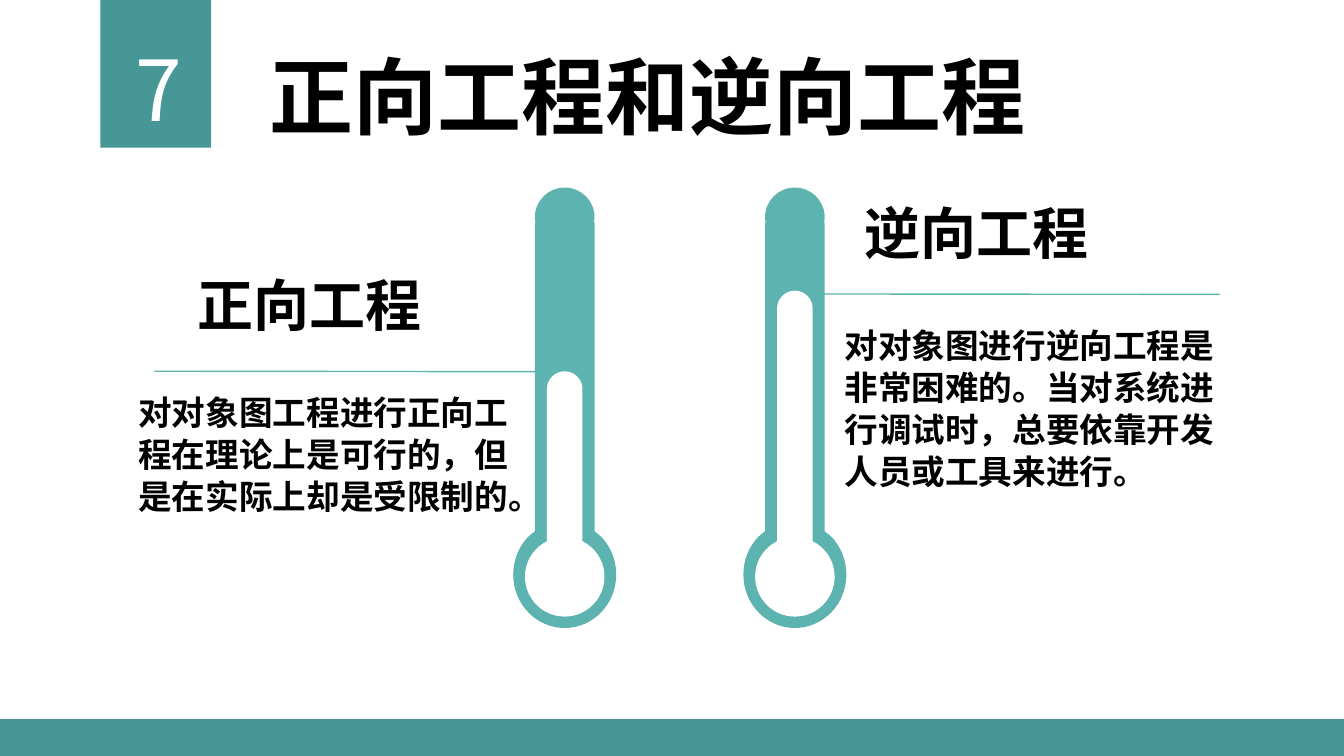
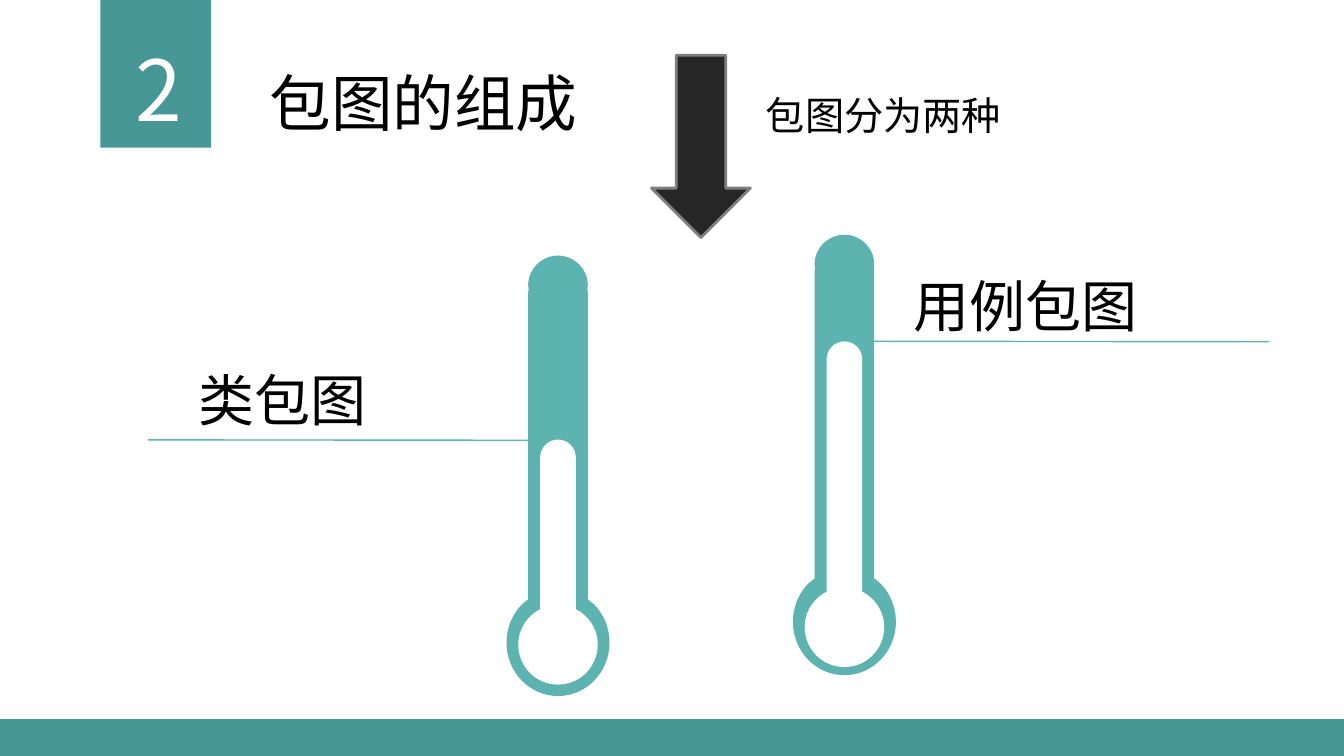
from dataclasses import dataclass

from lxml.etree import SubElement
from pptx import Presentation
from pptx.dml.color import RGBColor
from pptx.enum.shapes import MSO_CONNECTOR, MSO_SHAPE
from pptx.enum.text import MSO_AUTO_SIZE, PP_ALIGN
from pptx.oxml.ns import qn
from pptx.shapes.autoshape import Shape
from pptx.shapes.shapetree import GroupShapes, SlideShapes
from pptx.slide import Slide
from pptx.util import Pt

DARK_TEAL, TEAL, WHITE, BLACK = "479796", "5DB3B0", "FFFFFF", "000000"
ARROW_FILL, ARROW_LINE = "262626", "7F7F7F"
SC, KR, ARIAL = "Noto Sans CJK SC", "Noto Sans CJK KR", "Arial"

Point = tuple[float, float]
Segment = list[Point]

GLASS: list[Segment] = [
    [(11.8, 0), (21.3, 9.5), (21.3, 21.2)],
    [(20.9, 25.3)],
    [(21.3, 25.3)],
    [(21.3, 245.5)],
    [(25.9, 249.3)],
    [(32.5, 256), (36.8, 265.8), (36.8, 276.5)],
    [(36.8, 297.5), (20.3, 314.6), (0, 314.6)],
]


@dataclass
class Label:
    text: str
    left: float
    top: float
    width: float
    height: float
    size: float
    font: str = SC
    bold: bool = False
    color: str = BLACK
    align: PP_ALIGN = PP_ALIGN.LEFT
    spacing: float | None = None


@dataclass
class Thermometer:
    center: float
    top: float
    level: float
    fluid_bottom: float
    grouped: bool = False


@dataclass
class Rule:
    left: float
    right: float
    y: float
    drop: float = 0.3


@dataclass
class Content:
    number: str
    labels: list[Label]
    thermometers: list[Thermometer]
    rules: list[Rule]
    arrow: bool = False


def rgb(color: str) -> RGBColor:
    return RGBColor.from_string(color)


def paint(sp: Shape, fill: str, line: str | None = None) -> None:
    sp.shadow.inherit = False
    sp.fill.solid()
    sp.fill.fore_color.rgb = rgb(fill)
    if line:
        sp.line.color.rgb = rgb(line)
        sp.line.width = Pt(2)
    else:
        sp.line.fill.background()


def add_box(s: Slide, kind: MSO_SHAPE, left: float, top: float, width: float,
            height: float, fill: str, line: str | None = None) -> Shape:
    sp = s.shapes.add_shape(kind, Pt(left), Pt(top), Pt(width), Pt(height))
    paint(sp, fill, line)
    return sp


def add_label(s: Slide, label: Label) -> None:
    sp = s.shapes.add_textbox(Pt(label.left), Pt(label.top), Pt(label.width), Pt(label.height))
    tf = sp.text_frame
    tf.word_wrap = True
    tf.auto_size = MSO_AUTO_SIZE.SHAPE_TO_FIT_TEXT
    tf.text = label.text
    p = tf.paragraphs[0]
    p.alignment = label.align
    if label.spacing:
        p.line_spacing = Pt(label.spacing)
    r = p.runs[0]
    r.font.size = Pt(label.size)
    r.font.bold = label.bold
    r.font.name = label.font
    r.font.color.rgb = rgb(label.color)
    SubElement(r.font._element, qn("a:ea")).set("typeface", label.font)


def fluid(height: float) -> list[Segment]:
    return [
        [(7, 0), (12.7, 5.7), (12.7, 12.8)],
        [(12.7, height - 53.8)],
        [(15.8, height - 52)],
        [(23.5, height - 46.8), (28.4, height - 38.2), (28.4, height - 28.6)],
        [(28.4, height - 12.8), (15.7, height), (0, height)],
    ]


def mirrored(half: list[Segment]) -> list[Segment]:
    starts = [(0, 0)] + [segment[-1] for segment in half[:-1]]
    return [[(-x, y) for x, y in reversed([start] + segment[:-1])]
            for start, segment in reversed(list(zip(starts, half)))]


def add_outline(shapes: SlideShapes | GroupShapes, center: float, top: float,
                half: list[Segment], fill: str) -> None:
    segments = half + mirrored(half)
    points = [(Pt(center + x), Pt(top + y)) for segment in segments for x, y in segment]
    builder = shapes.build_freeform(Pt(center), Pt(top), scale=1.0)
    builder.add_line_segments(points, close=True)
    sp = builder.convert_to_shape()
    steps = iter(list(sp._element.iter(qn("a:lnTo"))))
    for segment in segments:
        first, *others = [next(steps) for _ in segment]
        if others:
            first.tag = qn("a:cubicBezTo")
        for other in others:
            first.append(other[0])
            other.getparent().remove(other)
    paint(sp, fill)


def add_thermometer(s: Slide, t: Thermometer) -> None:
    shapes = s.shapes.add_group_shape().shapes if t.grouped else s.shapes
    add_outline(shapes, t.center, t.top, GLASS, TEAL)
    add_outline(shapes, t.center, t.level, fluid(t.fluid_bottom - t.level), WHITE)


def add_rule(s: Slide, rule: Rule) -> None:
    line = s.shapes.add_connector(MSO_CONNECTOR.STRAIGHT, Pt(rule.left), Pt(rule.y),
                                  Pt(rule.right), Pt(rule.y + rule.drop))
    line.line.color.rgb = rgb(TEAL)
    line.line.width = Pt(1)
    SubElement(line._element.spPr, qn("a:effectLst"))


def add_slide(prs: Presentation, content: Content) -> None:
    s = prs.slides.add_slide(prs.slide_layouts[6])
    add_box(s, MSO_SHAPE.RECTANGLE, 71.7, 0, 79.2, 105.5, DARK_TEAL)
    add_label(s, Label(content.number, 74, 23, 79, 80, 60, KR, color=WHITE,
                       align=PP_ALIGN.CENTER))
    add_label(s, content.labels[0])
    add_box(s, MSO_SHAPE.RECTANGLE, 0, 513.6, 960, 26.4, DARK_TEAL)
    for thermometer in content.thermometers:
        add_thermometer(s, thermometer)
    for rule in content.rules:
        add_rule(s, rule)
    if content.arrow:
        arrow = add_box(s, MSO_SHAPE.DOWN_ARROW, 465.4, 39.5, 70.6, 130.2,
                        ARROW_FILL, ARROW_LINE)
        arrow.adjustments[0] = 0.5
        arrow.adjustments[1] = 0.5
    for label in content.labels[1:]:
        add_label(s, label)


def main() -> None:
    prs = Presentation()
    prs.slide_width, prs.slide_height = Pt(960), Pt(540)
    slides = [
        Content(
            "7",
            [
                Label("正向工程和逆向工程", 185.4, 28, 590, 80, 60, ARIAL, True),
                Label("正向工程", 134, 189.5, 215, 55.4, 40, bold=True),
                Label("逆向工程", 610.4, 138.2, 215, 55.4, 40, bold=True),
                Label("对对象图工程进行正向工程在理论上是可行的，但是在实际上却是受限制的。",
                      91.8, 275.2, 283.7, 98, 24, ARIAL, True, spacing=30),
                Label("对对象图进行逆向工程是非常困难的。当对系统进行调试时，总要依靠开发人员或工具来进行。",
                      596.2, 227.2, 283.7, 128, 24, ARIAL, True, spacing=30),
            ],
            [Thermometer(403.4, 134, 265.2, 440.4, True),
             Thermometer(567.8, 134, 207.6, 440.4)],
            [Rule(110.2, 393.8, 265.2), Rule(587.5, 871.2, 210)],
        ),
        Content(
            "2",
            [
                Label("包图的组成", 185.4, 42.5, 499, 60.5, 44),
                Label("类包图", 134.6, 257.3, 215, 55.4, 40),
                Label("用例包图", 645.5, 190.3, 215, 55.4, 40),
                Label("包图分为两种", 540, 62, 288.7, 41, 28),
            ],
            [Thermometer(398.6, 182.6, 314, 489, True),
             Thermometer(603.2, 167.7, 243.9, 476.5)],
            [Rule(105.8, 388.8, 314.2), Rule(622.8, 906.5, 243.8)],
            arrow=True,
        ),
    ]
    for content in slides:
        add_slide(prs, content)
    prs.save("out.pptx")


if __name__ == "__main__":
    main()
